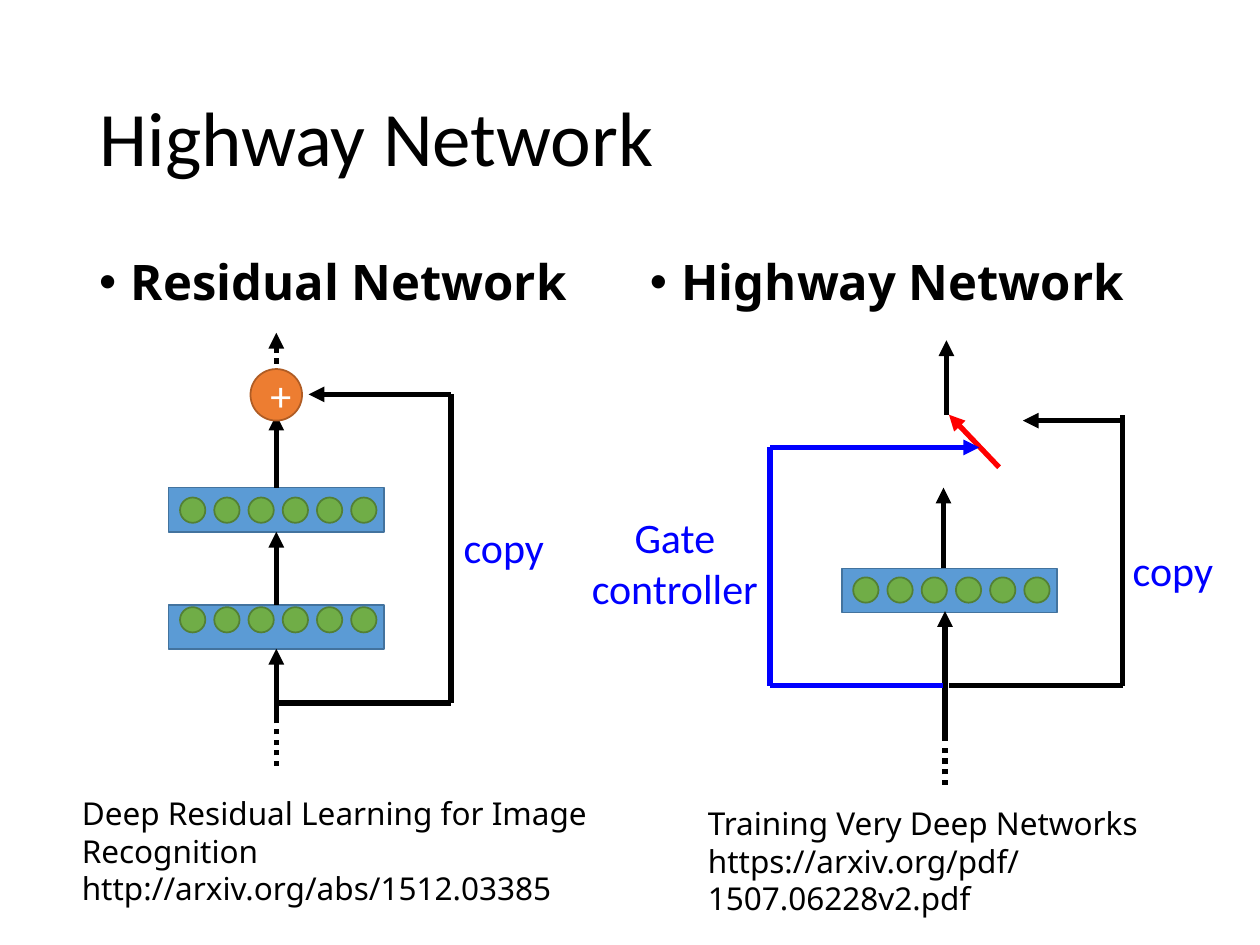
"""Build the slide that compares residual and highway networks."""
from lxml import etree
from pptx import Presentation
from pptx import util as u
from pptx.dml.color import RGBColor
from pptx.enum import dml, shapes, text
from pptx.oxml import ns

BLACK, WHITE, BLUE, RED = "000000", "FFFFFF", "0000FF", "FF0000"


def color(hex):
    return RGBColor.from_string(hex)


def node(parent, tag, **attrs):
    return etree.SubElement(parent, ns.qn(tag), attrs)


def write(frame, words, font="Calibri", size=24, ink=BLACK, bold=False,
          align="LEFT", anchor="TOP", space=1.0, bullet=False):
    frame.word_wrap = True
    frame.auto_size = text.MSO_AUTO_SIZE.NONE
    frame.vertical_anchor = text.MSO_ANCHOR[anchor]
    frame.text = words
    for para in frame.paragraphs:
        if bullet:
            props = para._p.get_or_add_pPr()
            props.set("marL", str(u.Cm(0.64)))
            props.set("indent", str(-u.Cm(0.64)))
            node(props, "a:buFont", typeface="Arial")
            node(props, "a:buChar", char="•")
        para.alignment = text.PP_ALIGN[align]
        para.line_spacing = space
        para.font.name = font
        para.font.size = u.Pt(size)
        para.font.bold = bold
        para.font.color.rgb = color(ink)


class Board:
    """Holds the style and the current slide, and draws each kind of element."""

    width = 3
    edge = 1
    wide, high, dot = 4.34, 0.89, 0.51

    def __init__(self, slide):
        self.slide = slide

    def title(self, words, *box):
        head = self.slide.shapes.title
        head.left, head.top, head.width, head.height = map(u.Cm, box)
        write(head.text_frame, words, size=44, anchor="MIDDLE", space=0.9)

    def label(self, words, *box, **style):
        frame = self.slide.shapes.add_textbox(*map(u.Cm, box)).text_frame
        write(frame, words, **style)

    def shape(self, kind, fill, rim, *box):
        item = self.slide.shapes.add_shape(
            shapes.MSO_SHAPE[kind], *map(u.Cm, box))
        item.shadow.inherit = False
        item.fill.solid()
        item.fill.fore_color.rgb = color(fill)
        item.line.color.rgb = color(rim)
        item.line.width = u.Pt(self.edge)
        return item

    def layer(self, left, top, drop):
        bar = self.shape("RECTANGLE", "5B9BD5", "43739E",
                         left, top, self.wide, self.high)
        for i in range(6):
            self.shape("OVAL", "70AD47", "538035", left + 0.23 + 0.69 * i,
                       top + drop, self.dot, self.dot)
        return bar

    def line(self, *ends, ink=BLACK, arrow=False, dots=False,
             start=None, stop=None):
        wire = self.slide.shapes.add_connector(
            shapes.MSO_CONNECTOR.STRAIGHT, *map(u.Cm, ends))
        if start:
            wire.begin_connect(*start)
        if stop:
            wire.end_connect(*stop)
        wire.line.color.rgb = color(ink)
        wire.line.width = u.Pt(self.width)
        if dots:
            wire.line.dash_style = dml.MSO_LINE.ROUND_DOT
        if arrow:
            node(wire.line._get_or_add_ln(), "a:tailEnd", type="triangle")
        node(wire._element.spPr, "a:effectLst")

    def route(self, *points, ink=BLACK, arrow=False):
        last = len(points) - 2
        for i, (a, b) in enumerate(zip(points, points[1:])):
            self.line(*a, *b, ink=ink, arrow=arrow and i == last)


def residual(board):
    mid = 5.57
    upper = board.layer(3.4, 9.83, 0.2)
    lower = board.layer(3.4, 12.19, 0.05)
    board.line(mid, 12.19, mid, 10.72, arrow=True,
               start=(lower, 0), stop=(upper, 2))
    board.line(mid, 14.58, mid, 13.08, arrow=True, stop=(lower, 2))
    board.line(mid, 9.83, mid, 8.36, arrow=True, start=(upper, 0))
    board.line(mid, 15.44, mid, 14.6, dots=True)
    board.line(mid, 8.18, mid, 6.71, dots=True, arrow=True)
    plus = board.shape("OVAL", "ED7D31", "AF5C24", 5.05, 7.44, 1.04, 1.04)
    write(plus.text_frame, "+", ink=WHITE, align="CENTER", anchor="MIDDLE")
    board.route((5.61, 14.17), (9.09, 14.17), (9.09, 7.95), (6.22, 7.95),
                arrow=True)


def highway(board):
    mid, base, side = 19.05, 13.82, 22.63
    board.layer(16.97, 11.46, 0.18)
    board.line(20.14, 9.42, 19.13, 8.36, ink=RED, arrow=True)
    board.line(19.08, 8.36, 19.08, 6.86, arrow=True)
    board.line(side, 8.48, 20.62, 8.48, arrow=True)
    board.route((19.13, base), (side, base), (side, 8.36))
    board.line(mid, 14.94, mid, 12.32, arrow=True)
    board.line(mid, 15.82, mid, 14.99, dots=True)
    board.route((19, base), (15.52, base), (15.52, 9.02), (19.74, 9.02),
                ink=BLUE, arrow=True)
    board.line(19.02, 11.46, 19.02, 9.83, arrow=True)


def main():
    deck = Presentation()
    deck.slide_width, deck.slide_height = u.Cm(25.4), u.Cm(19.05)
    board = Board(deck.slides.add_slide(deck.slide_layouts[5]))
    board.title("Highway Network", 1.75, 1.02, 21.9, 3.68)
    for words, left in (("Residual Network", 1.75), ("Highway Network", 12.85)):
        board.label(words, left, 5.08, 10.8, 12.09, font="Noto Sans", size=28,
                    bold=True, space=0.9, bullet=True)
    for words, *box in (
        ("Deep Residual Learning for Image Recognition\n"
         "http://arxiv.org/abs/1512.03385", 1.4, 15.88, 11.48, 2.57),
        ("Training Very Deep Networks\n"
         "https://arxiv.org/pdf/1507.06228v2.pdf", 14.02, 16.08, 10.13, 2.57),
    ):
        board.label(words, *box, font="Noto Sans", size=18)
    residual(board)
    highway(board)
    for words, *box in (
        ("copy", 8.86, 10.39, 2.59, 1.27),
        ("copy", 22.35, 10.85, 2.59, 1.27),
        ("Gate controller", 11.61, 10.19, 3.99, 2.31),
    ):
        board.label(words, *box, ink=BLUE, align="CENTER")
    deck.save("out.pptx")


if __name__ == "__main__":
    main()
